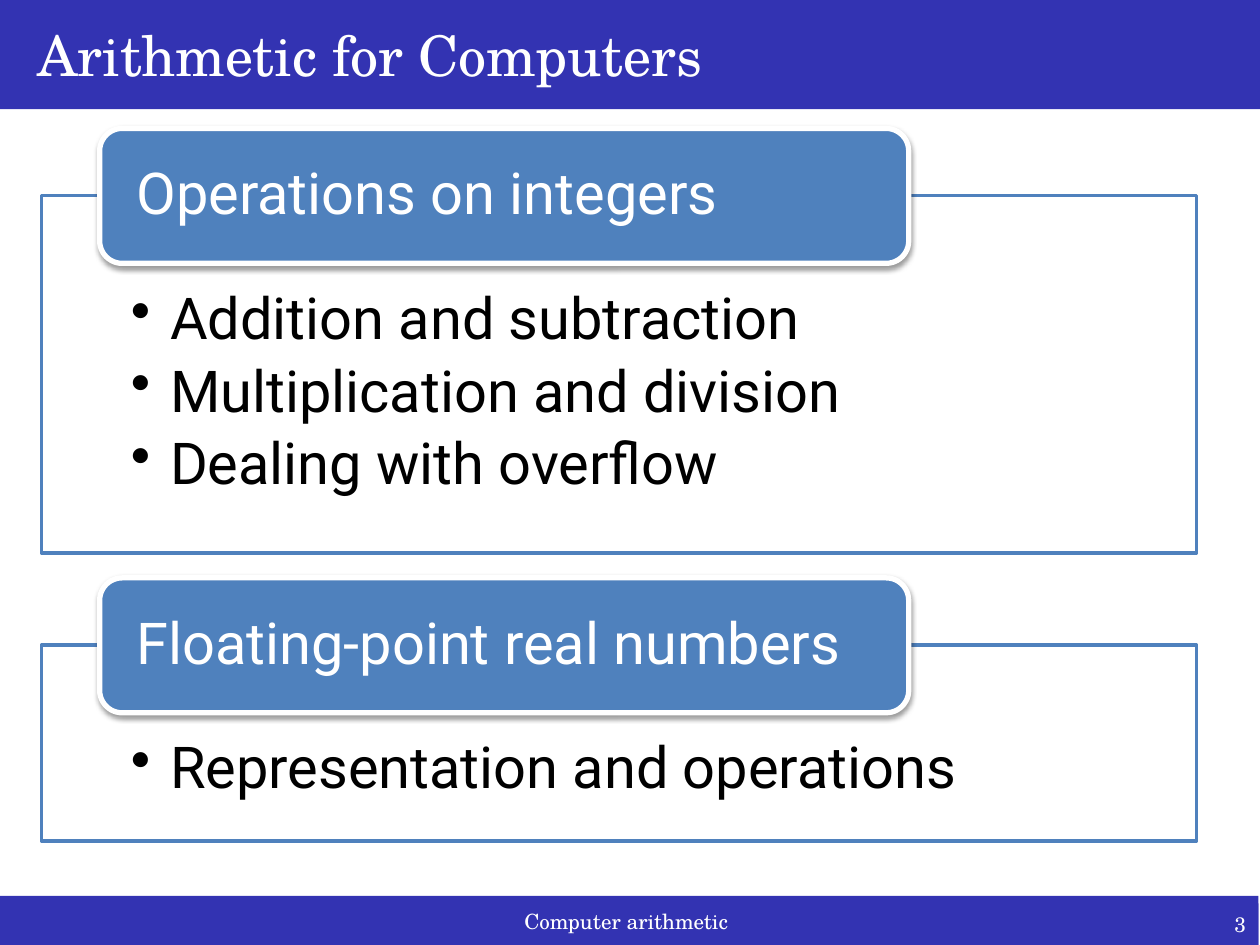
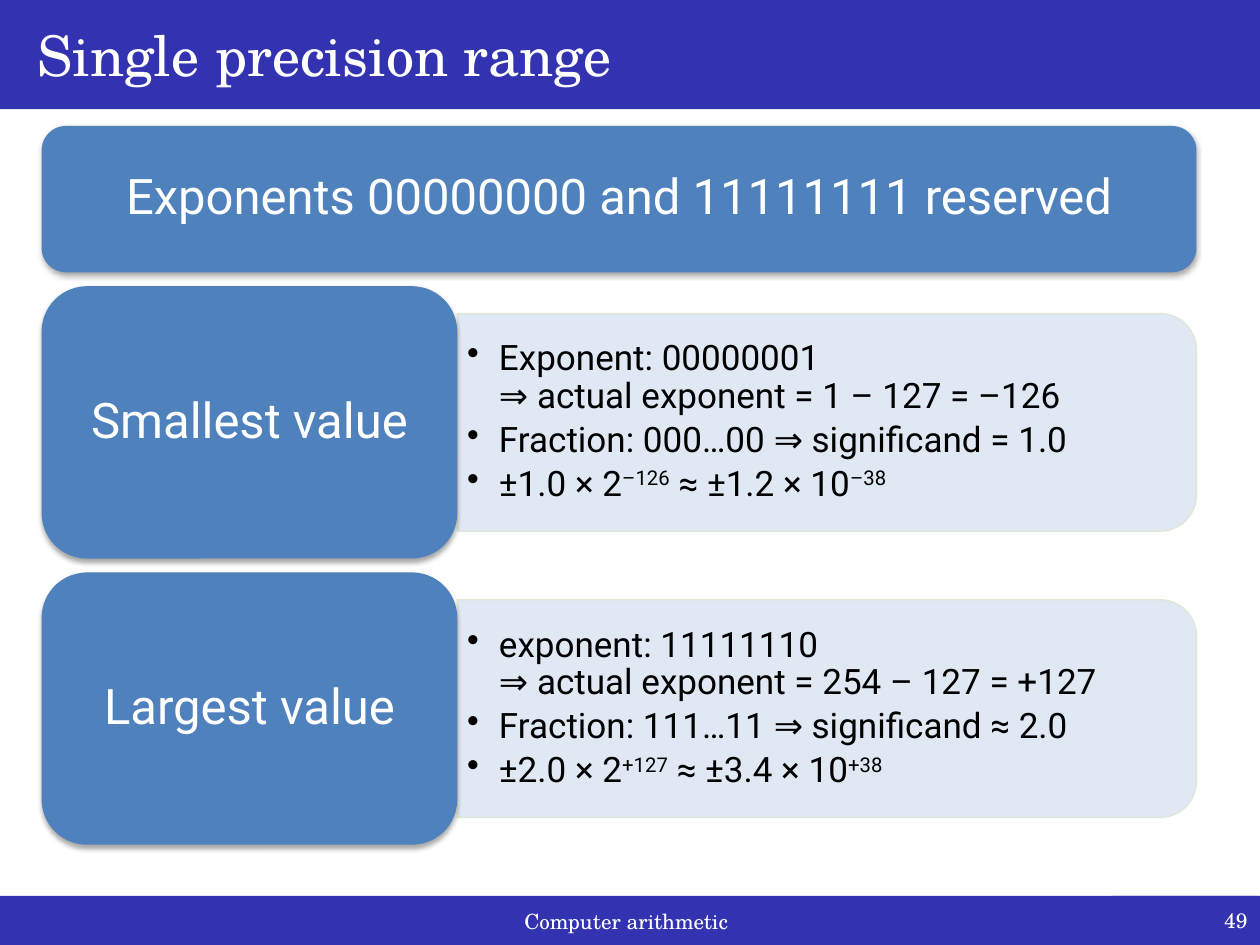
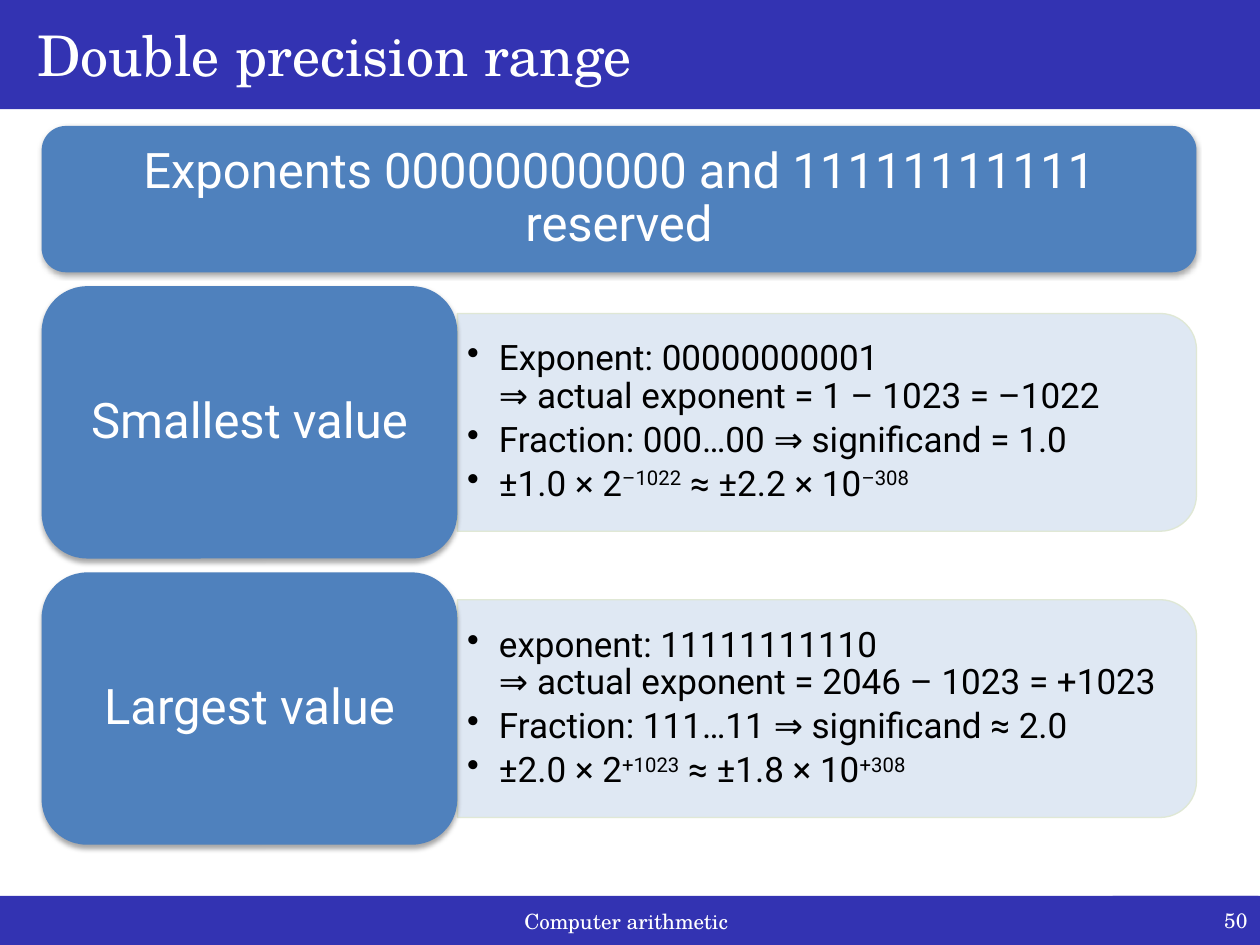
from lxml.etree import SubElement
from pptx import Presentation
from pptx.dml.color import RGBColor
from pptx.enum.shapes import MSO_SHAPE as Preset
from pptx.enum.text import MSO_ANCHOR as Anchor, PP_ALIGN as Align
from pptx.oxml.ns import qn
from pptx.util import Cm, Pt

# Shared style
BAND, BLUE, PANEL, PANEL_LINE = "3333B2", "4F81BD", "DCE6F2", "DEE7D1"
WHITE, BLACK = "FFFFFF", "000000"
SERIF, SANS = "TeX Gyre Schola", "Roboto"
WIDTH, HEIGHT = 25.4, 19.05
LEFT, CONTENT_WIDTH = 0.84, 23.28


def color(hex_string):
    return RGBColor.from_string(hex_string)


def write(shape, text, size=28, font=SANS, fill=WHITE, align=Align.LEFT,
          anchor=Anchor.MIDDLE, insets=(0.25, 0.13, 0.25, 0.13),
          line_spacing=None, indent=0, bullet=None):
    """Write text (a string or a list of paragraphs); ^ toggles superscript."""
    frame = shape.text_frame
    frame.word_wrap = True
    frame.vertical_anchor = anchor
    (frame.margin_left, frame.margin_top,
     frame.margin_right, frame.margin_bottom) = map(Cm, insets)
    items = [text] if isinstance(text, str) else text
    for index, item in enumerate(items):
        paragraph = frame.add_paragraph() if index else frame.paragraphs[0]
        paragraph.alignment = align
        if line_spacing:
            paragraph.line_spacing = line_spacing
        properties = paragraph._p.get_or_add_pPr()
        properties.set("marL", str(Cm(indent)))
        if bullet:
            paragraph.space_after = Pt(round(size * 0.176, 1))
            properties.set("indent", str(-Cm(indent)))
            SubElement(properties, qn("a:buChar")).set("char", bullet)
        for line_number, line in enumerate(item.split("\n")):
            if line_number:
                paragraph.add_line_break()
            for part_number, part in enumerate(line.split("^")):
                run = paragraph.add_run()
                run.text = part
                run.font.size, run.font.name = Pt(size), font
                run.font.color.rgb = color(fill)
                if part_number % 2:
                    run._r.get_or_add_rPr().set("baseline", "30000")


class Deck:
    def __init__(self):
        self.presentation = Presentation()
        self.presentation.slide_width = Cm(WIDTH)
        self.presentation.slide_height = Cm(HEIGHT)
        self.slide = None

    def start_slide(self, title, number, number_box=(22.43, 18.06, 2.97, 0.99)):
        layout = self.presentation.slide_layouts[6]
        self.slide = self.presentation.slides.add_slide(layout)
        footer = self.box((0, 18.06, 25.37, 1), BAND)
        write(footer, "Computer arithmetic ", 12, SERIF, align=Align.CENTER)
        write(self.box((0, 0, WIDTH, 2.2), BAND), title, 32, SERIF, indent=0.5)
        write(self.box(number_box, BAND), str(number), 12, SERIF,
              align=Align.RIGHT)

    def box(self, place, fill, preset=Preset.RECTANGLE, line=None,
            line_width=1, opacity=None, shadow=None):
        shape = self.slide.shapes.add_shape(preset, *map(Cm, place))
        shape.shadow.inherit = False
        shape.fill.solid()
        shape.fill.fore_color.rgb = color(fill)
        if line:
            shape.line.color.rgb = color(line)
            shape.line.width = Pt(line_width)
        else:
            shape.line.fill.background()
        properties = shape._element.spPr
        if opacity:
            for item in list(properties.iter(qn("a:srgbClr"))):
                SubElement(item, qn("a:alpha")).set("val", str(opacity * 1000))
        if shadow:
            self.add_shadow(properties, *shadow)
        return shape

    def add_shadow(self, properties, distance, opacity):
        outer = SubElement(properties.find(qn("a:effectLst")), qn("a:outerShdw"),
                           blurRad=str(Pt(3.1)), dist=str(Pt(distance)),
                           dir="5400000", rotWithShape="0")
        shade = SubElement(outer, qn("a:srgbClr"), val=BLACK)
        SubElement(shade, qn("a:alpha"), val=str(opacity * 1000))

    def topic(self, top, height, heading, points):
        """Outlined list with a heading tab on its upper edge."""
        outline = self.box((LEFT, top, CONTENT_WIDTH, height), WHITE,
                           line=BLUE, line_width=2)
        write(outline, points, 33, fill=BLACK, anchor=Anchor.TOP,
              insets=(1.8, 1.9, 1.8, 0.66), line_spacing=0.9,
              indent=0.79, bullet="•")
        tab = self.box((2.01, top - 1.35, 16.31, 2.72), BLUE,
                       Preset.ROUNDED_RECTANGLE, WHITE, 3, shadow=(1.6, 38))
        write(tab, heading, 33, insets=(0.61, 0, 0.61, 0), line_spacing=0.9)

    def tile(self, place, text):
        tile = self.box(place, BLUE, Preset.ROUNDED_RECTANGLE, shadow=(1.8, 35))
        write(tile, text, align=Align.CENTER, insets=(0.3, 0.15, 0.3, 0.15),
              line_spacing=0.9)

    def panel(self, left, top, width, height, points):
        """Panel rounded on its right side: a turned shape under a text box."""
        shift = (width - height) / 2
        panel = self.box((left + shift, top - shift, height, width), PANEL,
                         Preset.ROUND_2_SAME_RECTANGLE, PANEL_LINE, 0.75, 90)
        panel.rotation = 90
        place = (left, top + 0.21, width - 0.21, height - 0.42)
        text_box = self.slide.shapes.add_textbox(*map(Cm, place))
        write(text_box, points, 20, fill=BLACK, insets=(0.2, 0.1, 0.2, 0.1),
              line_spacing=0.9, indent=0.64, bullet="•")

    def range_slide(self, title, number, bits, smallest, largest):
        """Range of a float format with the given number of exponent bits."""
        self.start_slide(title, number)
        zeros, ones = "0" * bits, "1" * bits
        bias, top_exponent = 2 ** (bits - 1) - 1, 2 ** bits - 2
        banner_top, banner_height, gap = 2.54, 2.95, 0.28
        tile_width, tile_height, panel_height = 8.38, 5.49, 4.39
        self.tile((LEFT, banner_top, CONTENT_WIDTH, banner_height),
                  f"Exponents {zeros} and {ones} reserved")
        rows = [
            ("Smallest value", [
                f"Exponent: {zeros[1:]}1\n"
                f"⇒ actual exponent = 1 – {bias} = –{bias - 1}",
                "Fraction: 000…00 ⇒ significand = 1.0",
                f"±1.0 × 2^–{bias - 1}^ ≈ ±{smallest[0]} × 10^–{smallest[1]}"]),
            ("Largest value", [
                f"exponent: {ones[1:]}0\n"
                f"⇒ actual exponent = {top_exponent} – {bias} = +{bias}",
                "Fraction: 111…11 ⇒ significand ≈ 2.0",
                f"±2.0 × 2^+{bias}^ ≈ ±{largest[0]} × 10^+{largest[1]}"]),
        ]
        for index, (label, points) in enumerate(rows):
            top = banner_top + banner_height + gap + index * (tile_height + gap)
            self.panel(LEFT + tile_width, top + (tile_height - panel_height) / 2,
                       CONTENT_WIDTH - tile_width, panel_height, points)
            self.tile((LEFT, top, tile_width, tile_height), label)


def main():
    deck = Deck()

    # Overview
    deck.start_slide("Arithmetic for Computers", 3, (22.4, 18.21, 2.97, 0.84))
    deck.topic(3.94, 7.21, "Operations on integers",
               ["Addition and subtraction", "Multiplication and division",
                "Dealing with overflow"])
    deck.topic(13, 3.96, "Floating-point real numbers",
               ["Representation and operations"])

    # Ranges of the two formats
    deck.range_slide("Single precision range", 49, 8, ("1.2", 38), ("3.4", 38))
    deck.range_slide("Double precision range", 50, 11,
                     ("2.2", 308), ("1.8", 308))

    deck.presentation.save("out.pptx")


if __name__ == "__main__":
    main()
